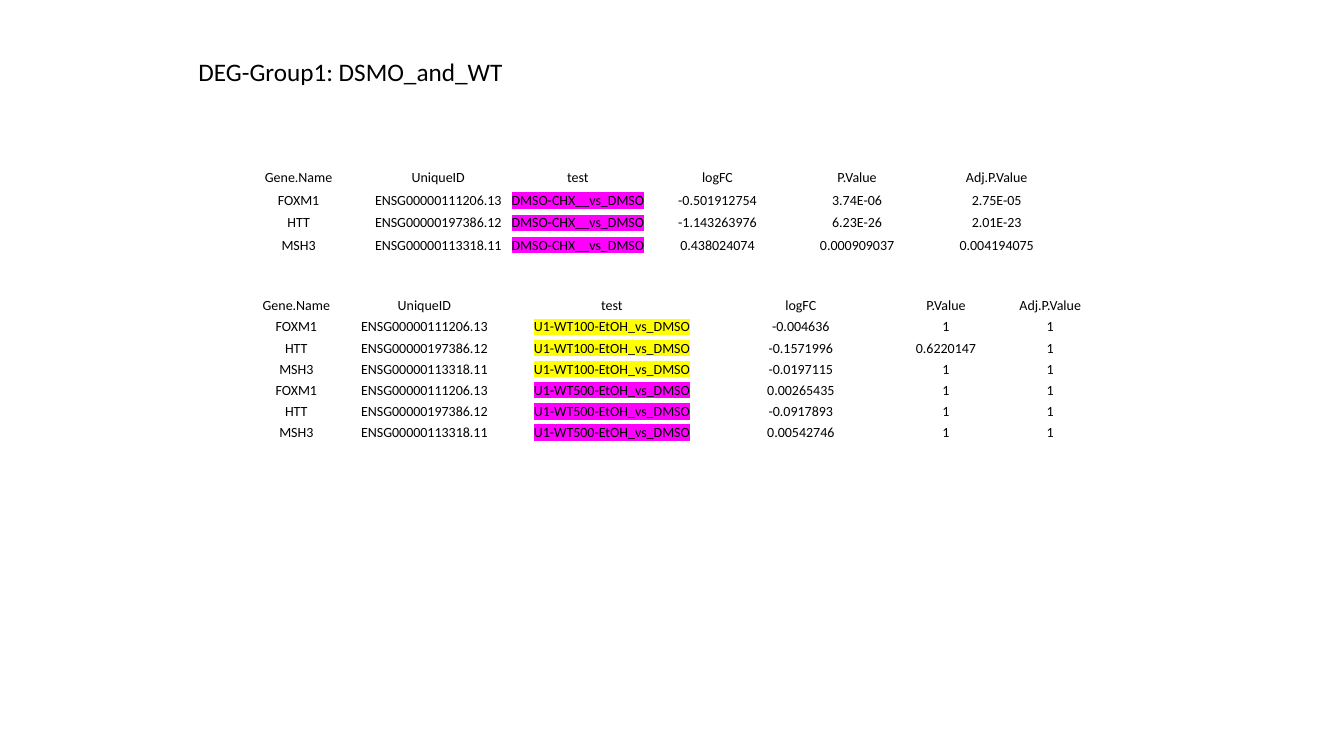
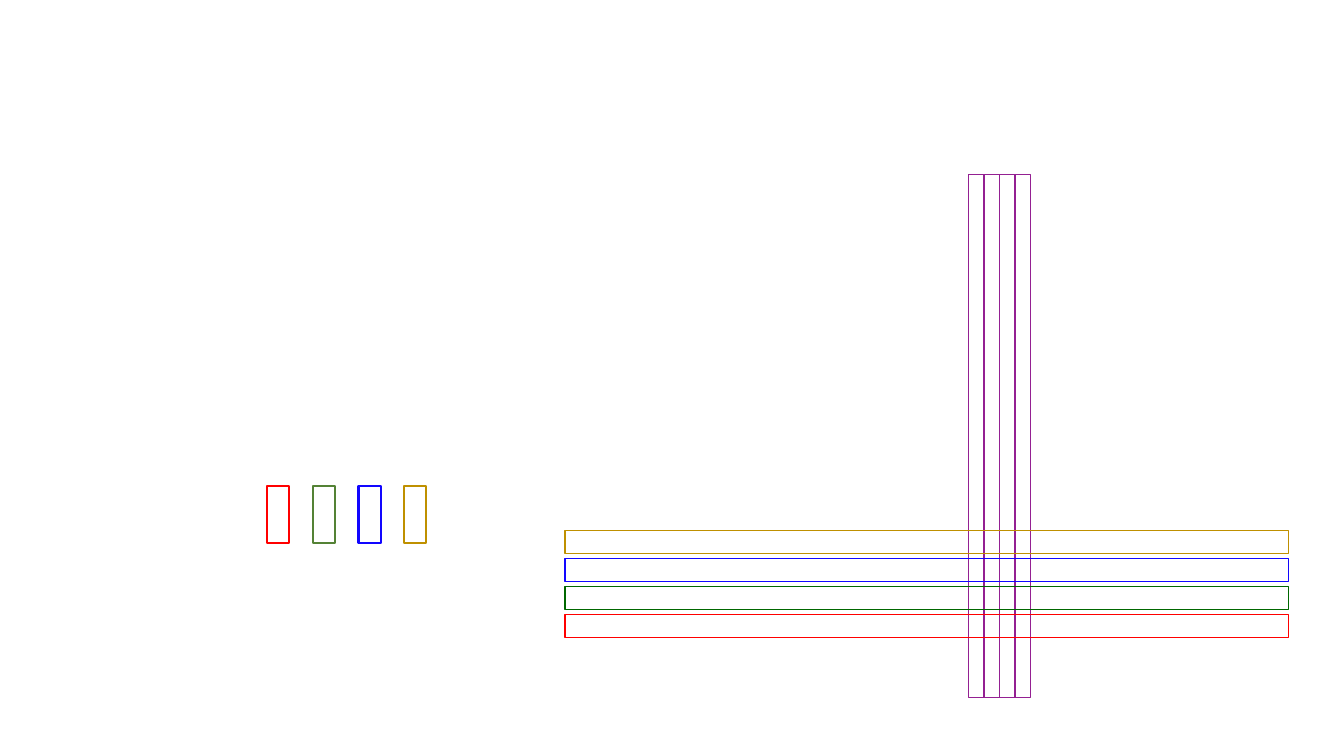
"""Build two slides: differential expression tables and a set of coloured frames."""
import lxml.etree
import pptx
import pptx.dml.color
import pptx.enum.shapes
import pptx.enum.text
import pptx.oxml.ns
import pptx.util

RGBColor = pptx.dml.color.RGBColor
BLACK = RGBColor(0x00, 0x00, 0x00)
MAGENTA = RGBColor(0xFF, 0x00, 0xFF)
YELLOW = RGBColor(0xFF, 0xFF, 0x00)
PURPLE = RGBColor(0x94, 0x20, 0x92)
RED = RGBColor(0xFF, 0x00, 0x00)
GREEN = RGBColor(0x00, 0x67, 0x00)
SAGE = RGBColor(0x54, 0x82, 0x35)
BLUE = RGBColor(0x12, 0x06, 0xFF)
GOLD = RGBColor(0xBF, 0x90, 0x00)

FONT = "Calibri"
WIDTH = pptx.util.Inches(13.33)
HEIGHT = pptx.util.Inches(7.5)
GRID_COLS, GRID_ROWS = 160, 90

HEADER = ("Gene.Name", "UniqueID", "test", "logFC", "P.Value", "Adj.P.Value")
TEST_COL = HEADER.index("test")
GENES = (
    ("FOXM1", "ENSG00000111206.13"),
    ("HTT", "ENSG00000197386.12"),
    ("MSH3", "ENSG00000113318.11"),
)
CHX_TESTS = (
    ("DMSO-CHX__vs_DMSO", MAGENTA, (
        ("-0.501912754", "3.74E-06", "2.75E-05"),
        ("-1.143263976", "6.23E-26", "2.01E-23"),
        ("0.438024074", "0.000909037", "0.004194075"),
    )),
)
ETOH_TESTS = (
    ("U1-WT100-EtOH_vs_DMSO", YELLOW, (
        ("-0.004636", "1", "1"),
        ("-0.1571996", "0.6220147", "1"),
        ("-0.0197115", "1", "1"),
    )),
    ("U1-WT500-EtOH_vs_DMSO", MAGENTA, (
        ("0.00265435", "1", "1"),
        ("-0.0917893", "1", "1"),
        ("0.00542746", "1", "1"),
    )),
)


def x(cols):
    return round(WIDTH * cols / GRID_COLS)


def y(rows):
    return round(HEIGHT * rows / GRID_ROWS)


def spread(first, last, count):
    return [first + (last - first) * i / (count - 1) for i in range(count)]


def add_slide(prs):
    return prs.slides.add_slide(prs.slide_layouts[6])


def style_run(r, size):
    r.font.name = FONT
    r.font.size = pptx.util.Pt(size)
    r.font.color.rgb = BLACK


def highlight(r, color):
    qn = pptx.oxml.ns.qn
    mark = lxml.etree.Element(qn("a:highlight"))
    lxml.etree.SubElement(mark, qn("a:srgbClr"), val=str(color))
    r.font._element.find(qn("a:solidFill")).addnext(mark)


def add_title(s, text):
    sp = s.shapes.add_textbox(x(22.44), y(6.12), x(39), y(4.8))
    tf = sp.text_frame
    tf.text = text
    tf.word_wrap = False
    tf.auto_size = pptx.enum.text.MSO_AUTO_SIZE.SHAPE_TO_FIT_TEXT
    style_run(tf.paragraphs[0].runs[0], 18)


def fill_cell(cell, text, mark):
    cell.fill.background()
    cell.vertical_anchor = pptx.enum.text.MSO_ANCHOR.BOTTOM
    cell.margin_left = cell.margin_right = cell.margin_top = pptx.util.Inches(0.01)
    cell.margin_bottom = 0
    p = cell.text_frame.paragraphs[0]
    p.text = text
    p.alignment = pptx.enum.text.PP_ALIGN.CENTER
    r = p.runs[0]
    style_run(r, 10)
    if mark is not None:
        highlight(r, mark)


def add_gene_table(s, left, top, col_widths, row_height, tests):
    rows = [(HEADER, None)]
    for test, color, results in tests:
        rows += [((*gene, test, *values), color) for gene, values in zip(GENES, results)]
    table = s.shapes.add_table(
        len(rows), len(HEADER), x(left), y(top),
        x(sum(col_widths)), y(row_height * len(rows))).table
    table.first_row = table.horz_banding = False
    for column, width in zip(table.columns, col_widths):
        column.width = x(width)
    for i, (texts, color) in enumerate(rows):
        table.rows[i].height = y(row_height)
        for j, text in enumerate(texts):
            fill_cell(table.cell(i, j), text, color if j == TEST_COL else None)


def add_frame(s, left, top, width, height, color, weight=1):
    sp = s.shapes.add_shape(
        pptx.enum.shapes.MSO_SHAPE.RECTANGLE, x(left), y(top), x(width), y(height))
    sp.shadow.inherit = False
    sp.fill.background()
    sp.line.color.rgb = color
    sp.line.width = pptx.util.Pt(weight)


def build_tables(prs):
    s = add_slide(prs)
    add_title(s, "DEG-Group1: DSMO_and_WT")
    add_gene_table(s, 27.24, 19.56, [16.62] * len(HEADER), 2.67, CHX_TESTS)
    add_gene_table(s, 30, 34.92, [10.56, 19.92, 24.72, 20.28, 14.28, 10.56],
                   2.52, ETOH_TESTS)


def build_frames(prs):
    s = add_slide(prs)
    for left in spread(115.32, 120.84, 4):
        add_frame(s, left, 20.76, 1.84, 62.28, PURPLE)
    bands = (GOLD, BLUE, GREEN, RED)
    for top, color in zip(spread(63.18, 73.14, len(bands)), bands):
        add_frame(s, 67.26, top, 86.16, 2.76, color)
    markers = (RED, SAGE, BLUE, GOLD)
    for left, color in zip(spread(31.8, 48.12, len(markers)), markers):
        add_frame(s, left, 57.84, 2.64, 6.84, color, 1.5)


def main():
    prs = pptx.Presentation()
    prs.slide_width, prs.slide_height = WIDTH, HEIGHT
    build_tables(prs)
    build_frames(prs)
    prs.save("out.pptx")


if __name__ == "__main__":
    main()
